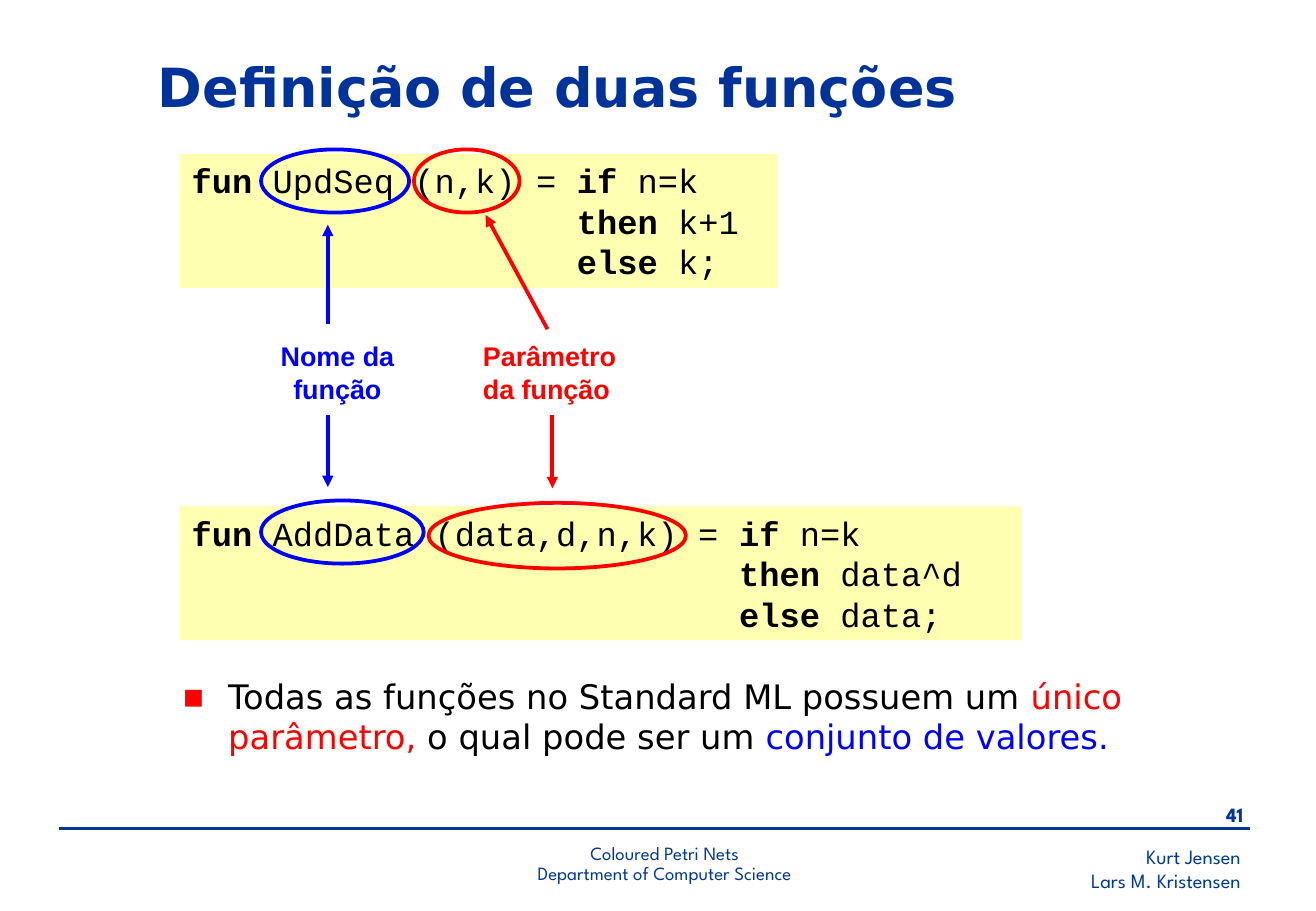
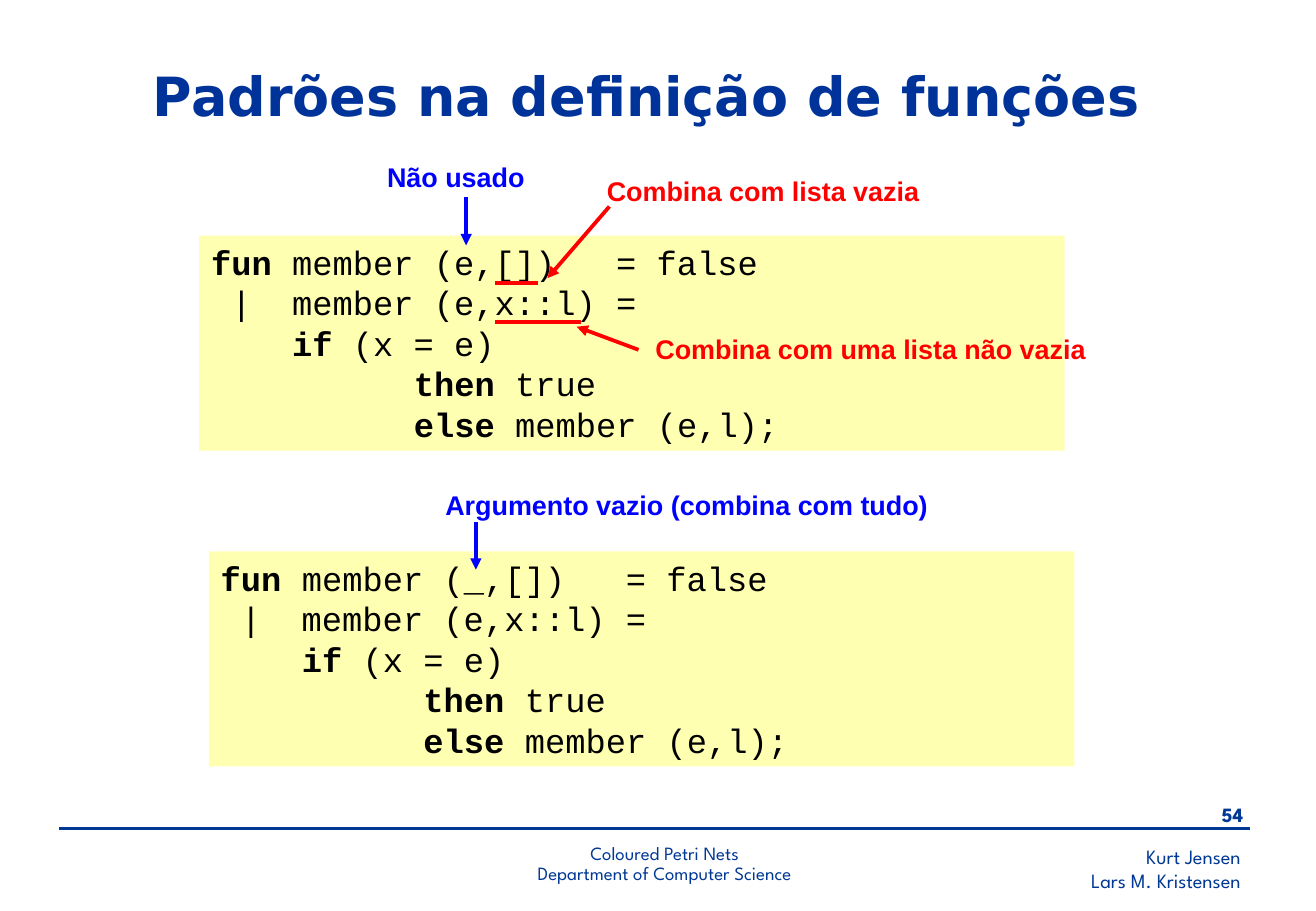
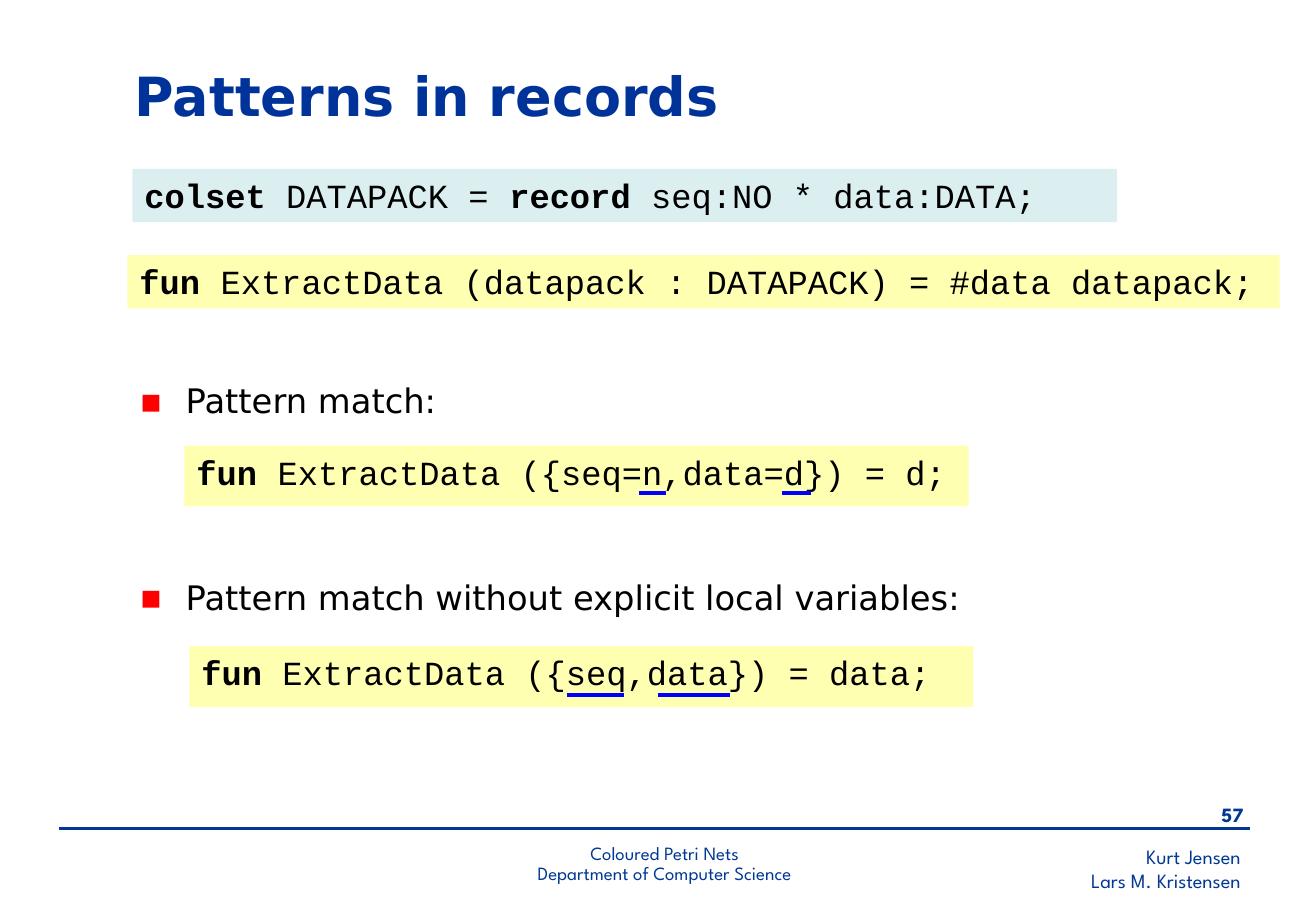
import pptx
import pptx.util
import pptx.dml.color
import pptx.enum.shapes
import pptx.enum.text
import pptx.oxml
import pptx.oxml.ns

PX = 9144  # EMU in one px: 100 px to the inch
ALIGN = pptx.enum.text.PP_ALIGN
ANCHOR = pptx.enum.text.MSO_ANCHOR
FORM = pptx.enum.shapes.MSO_SHAPE
NS = pptx.oxml.ns.nsdecls("a")

# Shared colours and text styles
HUES = {"title": "003399", "foot": "003893", "black": "000000", "red": "FF0000",
        "blue": "0000FF", "yellow": "FFFF66", "aqua": "BBE0E3"}
FONTS = {
    "title": {"name": "DejaVu Sans", "size": pptx.util.Pt(32), "bold": True},
    "list": {"name": "DejaVu Sans", "size": pptx.util.Pt(20), "bold": False},
    "code": {"name": "Courier New", "size": pptx.util.Pt(20), "bold": False},
    "label": {"name": "Arial", "size": pptx.util.Pt(16), "bold": True},
    "names": {"name": "League Spartan", "size": pptx.util.Pt(12), "bold": False},
    "page": {"name": "League Spartan", "size": pptx.util.Pt(12), "bold": True},
    "course": {"name": "League Spartan", "size": pptx.util.Pt(11.1), "bold": False},
}
FRAME = {"word_wrap": True, "auto_size": pptx.enum.text.MSO_AUTO_SIZE.NONE,
         "vertical_anchor": ANCHOR.TOP}
BULLET = (f'<a:buClr {NS}><a:srgbClr val="{HUES["red"]}"/></a:buClr>',
          f'<a:buFont {NS} typeface="DejaVu Sans"/>',
          f'<a:buChar {NS} char="▪"/>')


def put(shape, style, lines, hue, align=ALIGN.LEFT, space=1.0):
    """Fill a shape with lines, each a list of (text, changed font values)."""
    frame = shape.text_frame
    for key, value in FRAME.items():
        setattr(frame, key, value)
    for num, line in enumerate(lines):
        para = frame.add_paragraph() if num else frame.paragraphs[0]
        if style == "list":
            props = para._p.get_or_add_pPr()
            props.set("marL", str(38 * PX))
            props.set("indent", str(-38 * PX))
            for mark in BULLET:
                props.append(pptx.oxml.parse_xml(mark))
        para.alignment, para.line_spacing = align, space
        para.space_before = pptx.util.Pt(0)
        for text, change in line:
            run = para.add_run()
            run.text = text
            look = {**FONTS[style], "hue": hue, **change}
            run.font.color.rgb = pptx.dml.color.RGBColor.from_string(HUES[look.pop("hue")])
            for key, value in look.items():
                setattr(run.font, key, value)


def wire(slide, ends, hue, width=2.25, arrow=False):
    """Draw a straight line, with an arrowhead at its end if asked."""
    line = slide.shapes.add_connector(pptx.enum.shapes.MSO_CONNECTOR.STRAIGHT,
                                      *(PX * end for end in ends))
    line.line.color.rgb = pptx.dml.color.RGBColor.from_string(HUES[hue])
    line.line.width = pptx.util.Pt(width)
    if arrow:
        line.line._get_or_add_ln().append(
            pptx.oxml.parse_xml(f'<a:tailEnd {NS} type="triangle"/>'))
    line._element.spPr.append(pptx.oxml.parse_xml(f"<a:effectLst {NS}/>"))


# Code on the slides; words between ~ are bold
UPDATE = ["~fun~ UpdSeq (n,k) = ~if~ n=k",
          "                   ~then~ k+1",
          "                   ~else~ k;"]
APPEND = ["~fun~ AddData (data,d,n,k) = ~if~ n=k",
          "                           ~then~ data^d",
          "                           ~else~ data;"]
MEMBER = [" |  member (e,x::l) =",
          "    ~if~ (x = e)",
          "          ~then~ true",
          "          ~else~ member (e,l);"]

# Slide contents: boxes are left, top, width, height; wires are x1, y1, x2, y2
SLIDES = [
    {"page": "41", "layout": 1,
     "title": ("Definição de duas funções", (120, 36, 831, 69)),
     "codes": [((148, 127, 492, 110), "yellow", UPDATE),
               ((148, 417, 693, 110), "yellow", APPEND)],
     "lists": [((140, 551, 819, 83),
                [("Todas as funções no Standard ML possuem um ", {}),
                 ("único parâmetro,", {"hue": "red"}),
                 (" o qual pode ser um ", {}),
                 ("conjunto de valores.", {"hue": "blue"})])],
     "ovals": [((341, 123, 87, 52), "red"), ((353, 414, 212, 54), "red"),
               ((215, 123, 122, 52), "blue"), ((215, 412, 134, 52), "blue")],
     "labels": [((388, 275, 150, 64), "Parâmetro da função", "red", ALIGN.LEFT),
                ((215, 275, 126, 64), "Nome da função", "blue", ALIGN.CENTER)],
     "arrows": [((451, 271, 400, 177), "red"), ((455, 342, 455, 402), "red"),
                ((270, 267, 270, 185), "blue"), ((270, 342, 270, 401), "blue")],
     "rules": []},
    {"page": "54", "layout": 5,
     "title": ("Padrões na definição de funções", (116, 44, 835, 69)),
     "codes": [((164, 194, 713, 177), "yellow",
                ["~fun~ member (e,[])   = false"] + MEMBER),
               ((172, 454, 713, 177), "yellow",
                ["~fun~ member (_,[])   = false"] + MEMBER)],
     "lists": [], "ovals": [],
     "labels": [((357, 397, 449, 37), "Argumento vazio (combina com tudo)", "blue", ALIGN.LEFT),
                ((490, 139, 402, 37), "Combina com lista vazia", "red", ALIGN.LEFT),
                ((530, 269, 402, 37), "Combina com uma lista não vazia", "red", ALIGN.LEFT),
                ((309, 127, 150, 37), "Não usado", "blue", ALIGN.LEFT)],
     "arrows": [((502, 170, 451, 229), "red"), ((526, 288, 475, 269), "red"),
                ((392, 430, 392, 469), "blue"), ((384, 162, 384, 202), "blue")],
     "rules": [((408, 233, 443, 233), "red"), ((408, 265, 479, 265), "red")]},
    {"page": "57", "layout": 3,
     "title": ("Patterns in records", (101, 44, 716, 69)),
     "codes": [((109, 139, 811, 44), "aqua",
                ["~colset~ DATAPACK = ~record~ seq:NO * data:DATA;"]),
               ((105, 210, 949, 44), "yellow",
                ["~fun~ ExtractData (datapack : DATAPACK) = #data datapack;"]),
               ((152, 367, 646, 50), "yellow",
                ["~fun~ ExtractData ({seq=n,data=d}) = d;"]),
               ((156, 532, 646, 50), "yellow",
                ["~fun~ ExtractData ({seq,data}) = data;"])],
     "lists": [((105, 308, 283, 47), [("Pattern match:", {})]),
               ((105, 470, 791, 47),
                [("Pattern match without explicit local variables:", {})])],
     "ovals": [], "labels": [], "arrows": [],
     "rules": [((526, 406, 549, 406), "blue"), ((644, 406, 668, 406), "blue"),
               ((467, 572, 514, 572), "blue"), ((542, 572, 601, 572), "blue")]},
]

deck = pptx.Presentation()
deck.slide_width, deck.slide_height = 1084 * PX, 750 * PX

for data in SLIDES:
    slide = deck.slides.add_slide(deck.slide_layouts[data["layout"]])
    shapes = slide.shapes

    # Footer
    wire(slide, (49, 682, 1030, 682), "foot", 1.5)
    for box, style, lines, align, space in [
            ((695, 690, 337, 50), "names", ["Kurt Jensen", "Lars M. Kristensen"], ALIGN.RIGHT, 1.0),
            ((963, 656, 71, 33), "page", [data["page"]], ALIGN.RIGHT, 1.0),
            ((341, 690, 413, 47), "course",
             ["Coloured Petri Nets", "Department of Computer Science"], ALIGN.CENTER, 0.9)]:
        note = shapes.add_textbox(*(PX * side for side in box))
        put(note, style, [[(line, {})] for line in lines], "foot", align, space)

    # Title and lists
    text, box = data["title"]
    items = [("title", "title", box, [(text, {})])]
    items += [("list", "black", box, line) for box, line in data["lists"]]
    for holder, (style, hue, box, line) in zip(slide.placeholders, items):
        for key, side in zip(("left", "top", "width", "height"), box):
            setattr(holder, key, PX * side)
        put(holder, style, [line], hue)
    shapes.title.text_frame.vertical_anchor = ANCHOR.MIDDLE

    # Code panels, half transparent
    for box, hue, lines in data["codes"]:
        panel = shapes.add_shape(FORM.RECTANGLE, *(PX * side for side in box))
        panel.shadow.inherit = False
        panel.line.fill.background()
        panel.fill.solid()
        panel.fill.fore_color.rgb = pptx.dml.color.RGBColor.from_string(HUES[hue])
        tint = panel._element.spPr.find(".//" + pptx.oxml.ns.qn("a:srgbClr"))
        tint.append(pptx.oxml.parse_xml(f'<a:alpha {NS} val="50000"/>'))
        put(panel, "code", [[(part, {"bold": num % 2 == 1})
                             for num, part in enumerate(line.split("~")) if part]
                            for line in lines], "black")

    # Ovals around names and parameters
    for box, hue in data["ovals"]:
        oval = shapes.add_shape(FORM.OVAL, *(PX * side for side in box))
        oval.shadow.inherit = False
        oval.fill.background()
        oval.line.color.rgb = pptx.dml.color.RGBColor.from_string(HUES[hue])
        oval.line.width = pptx.util.Pt(2.25)

    # Labels, arrows and underlines
    for box, text, hue, align in data["labels"]:
        label = shapes.add_textbox(*(PX * side for side in box))
        put(label, "label", [[(text, {})]], hue, align)
    for kind in ("arrows", "rules"):
        for ends, hue in data[kind]:
            wire(slide, ends, hue, arrow=kind == "arrows")

deck.save("out.pptx")
